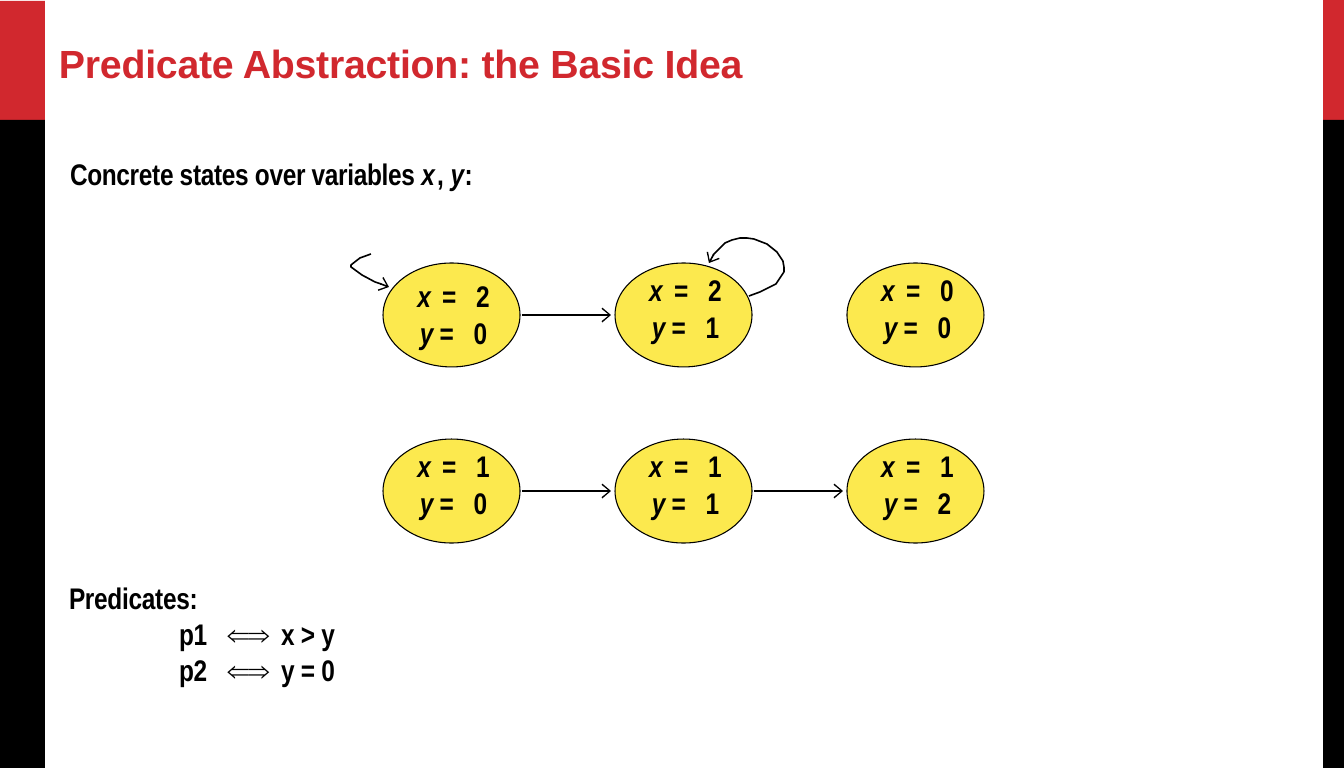
from lxml import etree
from pptx import Presentation
from pptx.dml.color import RGBColor
from pptx.enum.shapes import MSO_CONNECTOR, MSO_SHAPE
from pptx.enum.text import MSO_ANCHOR, MSO_AUTO_SIZE, PP_ALIGN
from pptx.oxml.ns import qn
from pptx.util import Pt

LEFT, MID = PP_ALIGN.LEFT, PP_ALIGN.CENTER
TOP, LOW = MSO_ANCHOR.TOP, MSO_ANCHOR.BOTTOM
RECT, OVAL = MSO_SHAPE.RECTANGLE, MSO_SHAPE.OVAL
LINE = MSO_CONNECTOR.STRAIGHT
FIXED = MSO_AUTO_SIZE.NONE

# Content: a text is a list of paragraphs, each a list of (text, italic, spacing)
TITLE = [[("Predicate Abstraction: the Basic Idea", False, -0.2)]]
INTRO = [[("Concrete states over variables ", False, -0.22), ("x", True, 1.7),
          (", ", False, -0.1), ("y", True, 0.4), (":", False, -0.1)]]
PREDS = ["Predicates:", "\tp1\t⇐⇒\tx > y", "\tp2\t⇐⇒\ty = 0"]
TABS = (110, 158, 212)

# Each state: column, row, x, y, offset of its label
STATES = [(0, 1, 1, 0, 9), (1, 1, 1, 1, 9), (2, 1, 1, 2, 9),
          (0, 0, 2, 0, 15), (1, 0, 2, 1, 9), (2, 0, 0, 0, 9)]
MOVES = [(0, 0), (0, 1), (1, 1)]
ENTRY = [(371, 254), (360, 258), (351, 265), (351, 267), (362, 275),
         (375, 282), (381, 284), (389, 287)]
LOOP = [(749, 296), (760, 292), (776, 284), (784, 272), (784, 267), (783, 261),
        (777, 252), (767, 244), (754, 239), (747, 238), (740, 238), (732, 240),
        (725, 243), (720, 248), (714, 254), (709, 263)]
BARS = [(1323, 0, 21, 153, "red"), (1323, 120, 21, 648, "black"),
        (0, 1, 45, 153, "red"), (0, 120, 45, 648, "black")]

COLORS = {"red": "D1282E", "black": "000000", "yellow": "FCE94E"}
SCALE = 914400 / 97.5
GRID = (383, 263)
STEP = (232, 176)
SIZE = (137, 104)


def px(*nums):
    return [round(n * SCALE) for n in nums]


def color(name):
    return RGBColor.from_string(COLORS[name])


def cell(col, row):
    return GRID[0] + col * STEP[0], GRID[1] + row * STEP[1]


def write(frame, paras, size=22, font="Arial Narrow", ink="black",
          align=LEFT, anchor=TOP, gap=0, tabs=()):
    frame.word_wrap = True
    frame.auto_size = FIXED
    frame.vertical_anchor = anchor
    frame.margin_left = frame.margin_right = 0
    frame.margin_top = frame.margin_bottom = 0
    for i, runs in enumerate(paras):
        para = frame.add_paragraph() if i else frame.paragraphs[0]
        para.alignment = align
        para.space_before = Pt(gap if i else 0)
        if tabs:
            stops = etree.SubElement(para._p.get_or_add_pPr(), qn("a:tabLst"))
            for pos in px(*tabs):
                etree.SubElement(stops, qn("a:tab"), pos=str(pos), algn="l")
        for text, slant, space in runs:
            run = para.add_run()
            run.text = text
            run.font.size, run.font.name = Pt(size), font
            run.font.bold, run.font.italic = True, slant
            run.font.color.rgb = color(ink)
            run._r.get_or_add_rPr().set("spc", str(round(space * 100)))


def label(slide, box, paras, **form):
    write(slide.shapes.add_textbox(*px(*box)).text_frame, paras, **form)


def shape(slide, kind, box, fill, edge=None):
    item = slide.shapes.add_shape(kind, *px(*box))
    item.shadow.inherit = False
    item.fill.solid()
    item.fill.fore_color.rgb = color(fill)
    if edge:
        item.line.color.rgb = color("black")
        item.line.width = Pt(edge)
    else:
        item.line.fill.background()


def arrow(item):
    item.line.color.rgb = color("black")
    item.line.width = Pt(1.2)
    etree.SubElement(item.line._get_or_add_ln(), qn("a:tailEnd"),
                     type="arrow", w="lg", len="med")


def curve(slide, pts):
    path = slide.shapes.build_freeform(*pts[0], scale=SCALE)
    path.add_line_segments(pts[1:], close=False)
    item = path.convert_to_shape()
    item.shadow.inherit = False
    item.fill.background()
    arrow(item)


def main():
    prs = Presentation()
    prs.slide_width, prs.slide_height = px(1344, 768)
    slide = prs.slides.add_slide(prs.slide_layouts[5])

    # Side bars and title
    for *box, fill in BARS:
        shape(slide, RECT, box, fill)
    title = slide.shapes.title
    title.left, title.top, title.width, title.height = px(59, 18, 1251, 68)
    write(title.text_frame, TITLE, size=29, font="Arial", ink="red", anchor=LOW)
    label(slide, (70, 156, 638, 39), INTRO)

    # States
    for col, row, x, y, drop in STATES:
        left, top = cell(col, row)
        shape(slide, OVAL, (left, top, *SIZE), "yellow", edge=0.8)
        paras = [[(f"{name} ", True, space), ("= ", False, 4.8),
                  (str(val), False, -1.7)]
                 for name, val, space in (("x", x, 1.7), ("y", y, -0.5))]
        label(slide, (left + 18, top + drop, 105, 80), paras,
              align=MID, gap=0.9)

    # Transitions
    for col, row in MOVES:
        left, top = cell(col, row)
        y = top + SIZE[1] / 2
        link = slide.shapes.add_connector(LINE, *px(left + 139, y, left + 228, y))
        etree.SubElement(link._element.spPr, qn("a:effectLst"))
        arrow(link)
    for pts in (ENTRY, LOOP):
        curve(slide, pts)

    # Predicates
    label(slide, (69, 580, 400, 160), [[(text, False, -0.2)] for text in PREDS],
          tabs=TABS)
    prs.save("out.pptx")


if __name__ == "__main__":
    main()
